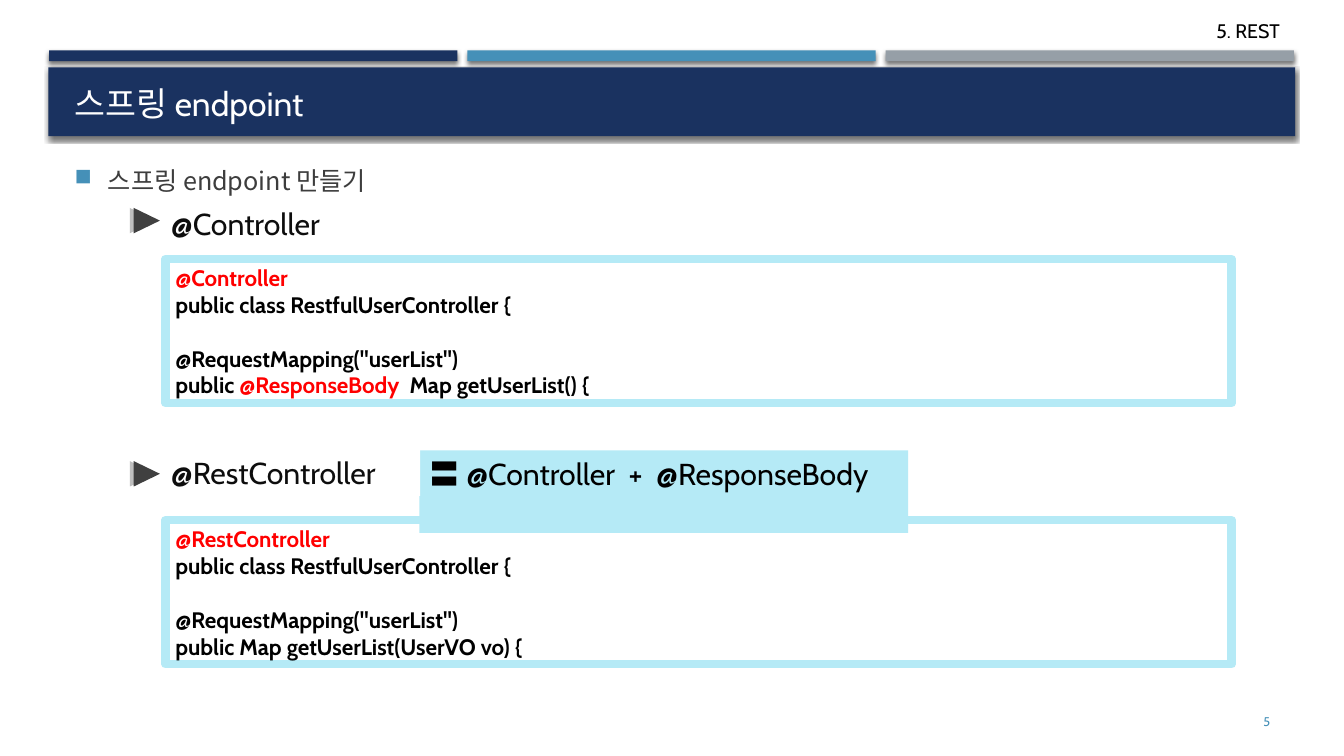
from dataclasses import dataclass

from lxml import etree
from pptx import Presentation, util as u
from pptx.dml.color import RGBColor
from pptx.enum import shapes, text
from pptx.oxml import ns


@dataclass(frozen=True)
class Theme:
    navy: str = "1A3260"
    blue: str = "4590B8"
    grey: str = "969FA7"
    pale: str = "B5EAF6"
    white: str = "FFFFFF"
    black: str = "000000"
    red: str = "FF0000"
    ink: str = "0D0D0D"
    body: str = "3D3D3D"
    dark: str = "404040"
    light: str = "BFBFBF"
    font: str = "Cabin"
    hangul: str = "Noto Sans CJK KR"
    title: float = 24
    head: float = 21.6
    item: float = 18
    code: float = 16
    label: float = 14
    page: float = 9


def node(parent, tag, **attrs):
    return etree.SubElement(parent, ns.qn(tag), {k: str(v) for k, v in attrs.items()})


def rgb(color):
    return RGBColor.from_string(color)


class Deck:
    """Draws styled elements on the current slide."""

    def __init__(self, theme):
        self.theme = theme
        self.prs = Presentation()
        self.prs.slide_width, self.prs.slide_height = u.Cm(33.87), u.Cm(19.05)
        self.slide = self.prs.slides.add_slide(self.prs.slide_layouts[6])

    def rect(self, box, fill, line=None, shadow=False, kind="RECTANGLE", home=None):
        home = home or self.slide.shapes
        shape = home.add_shape(shapes.MSO_SHAPE[kind], *map(u.Cm, box))
        shape.shadow.inherit = False
        shape.fill.solid()
        shape.fill.fore_color.rgb = rgb(fill)
        if line:
            shape.line.color.rgb = rgb(line)
            shape.line.width = u.Pt(6)
        else:
            shape.line.fill.background()
        if shadow:
            effects = shape._element.spPr.find(ns.qn("a:effectLst"))
            outer = node(effects, "a:outerShdw", blurRad=u.Pt(3), dist=u.Pt(2),
                         dir=5400000, algn="ctr", rotWithShape=0)
            color = node(outer, "a:srgbClr", val=self.theme.black)
            node(color, "a:alpha", val=55000)
        return shape

    def label(self, box, words, size, color, **fmt):
        shape = self.slide.shapes.add_textbox(*map(u.Cm, box))
        return self.fill(shape, [[(words, color)]], size, **fmt)

    def fill(self, shape, lines, size, bold=False, font=None, align="LEFT",
             anchor="TOP", wrap=True):
        frame = shape.text_frame
        looks = {"word_wrap": wrap, "vertical_anchor": text.MSO_ANCHOR[anchor],
                 "auto_size": text.MSO_AUTO_SIZE.NONE}
        for key, value in looks.items():
            setattr(frame, key, value)
        for i, runs in enumerate(lines):
            para = frame.add_paragraph() if i else frame.paragraphs[0]
            para.alignment = text.PP_ALIGN[align]
            for words, color in runs:
                run = para.add_run()
                run.text = words
                style = {"name": font or self.theme.font, "size": u.Pt(size), "bold": bold}
                for key, value in style.items():
                    setattr(run.font, key, value)
                run.font.color.rgb = rgb(color)
                node(run.font._element, "a:ea", typeface=self.theme.hangul)
        return frame

    def bullet(self, box, words):
        t = self.theme
        para = self.label(box, words, t.item, t.body, font=t.hangul).paragraphs[0]
        para.space_before, para.space_after = u.Pt(3.6), u.Pt(6)
        props = para._p.get_or_add_pPr()
        props.set("marL", str(u.Cm(0.84)))
        props.set("indent", str(u.Cm(-0.84)))
        node(node(props, "a:buClr"), "a:srgbClr", val=t.blue)
        node(props, "a:buSzPct", val=92000)
        node(props, "a:buChar", char="■")

    def head(self, top, width, words, mark, wrap=True):
        t = self.theme
        shape = self.rect((4.06, top, width, 1.17), t.white)
        self.fill(shape, [[(words, t.ink)]], t.head, wrap=wrap)
        group = self.slide.shapes.add_group_shape()
        for left, fill in ((3.28, t.light), (3.38, t.dark)):
            arrow = self.rect((left, mark, 0.64, 0.66), fill,
                              kind="ISOSCELES_TRIANGLE", home=group.shapes)
            arrow.rotation = 90

    def code(self, top, name, last):
        t = self.theme
        lines = [[(name, t.red)],
                 [("public class RestfulUserController {", t.black)],
                 [('@RequestMapping("userList")', t.black)], last]
        shape = self.rect((4.17, top, 26.87, 3.63), t.white, t.pale)
        frame = self.fill(shape, lines, t.code, bold=True)
        frame.paragraphs[2].space_before = u.Pt(19.2)


def main():
    t = Theme()
    deck = Deck(t)
    for i, fill in enumerate((t.navy, t.blue, t.grey)):
        deck.rect((1.24 + i * 10.54, 1.27, 10.29, 0.27), fill, shadow=True)
    deck.label((22.25, 0.36, 10.26, 0.84), "5. REST", t.label, t.black, align="RIGHT")
    deck.rect((1.22, 1.7, 31.42, 1.73), t.navy, shadow=True)
    deck.label((1.63, 1.83, 30.63, 1.4), "스프링 endpoint", t.title, t.white, anchor="BOTTOM")
    deck.bullet((1.63, 4.04, 30.63, 13.41), "스프링 endpoint 만들기")
    deck.code(6.53, "@Controller", [("public ", t.black), ("@ResponseBody  ", t.red),
                                    ("Map getUserList() {", t.black)])
    deck.code(13.11, "@RestController", [("public Map getUserList(UserVO vo) {", t.black)])
    equal = deck.rect((10.57, 11.35, 12.32, 2.08), t.pale)
    deck.fill(equal, [[("〓 @Controller  +  @ResponseBody", t.black)]], t.head)
    deck.head(5.05, 4.57, "@Controller", 5.23, wrap=False)
    deck.head(11.33, 6.53, "@RestController", 11.61)
    deck.label((29.34, 17.68, 2.92, 1.02), "5", t.page, t.blue, align="RIGHT", anchor="MIDDLE")
    deck.prs.save("out.pptx")


if __name__ == "__main__":
    main()
